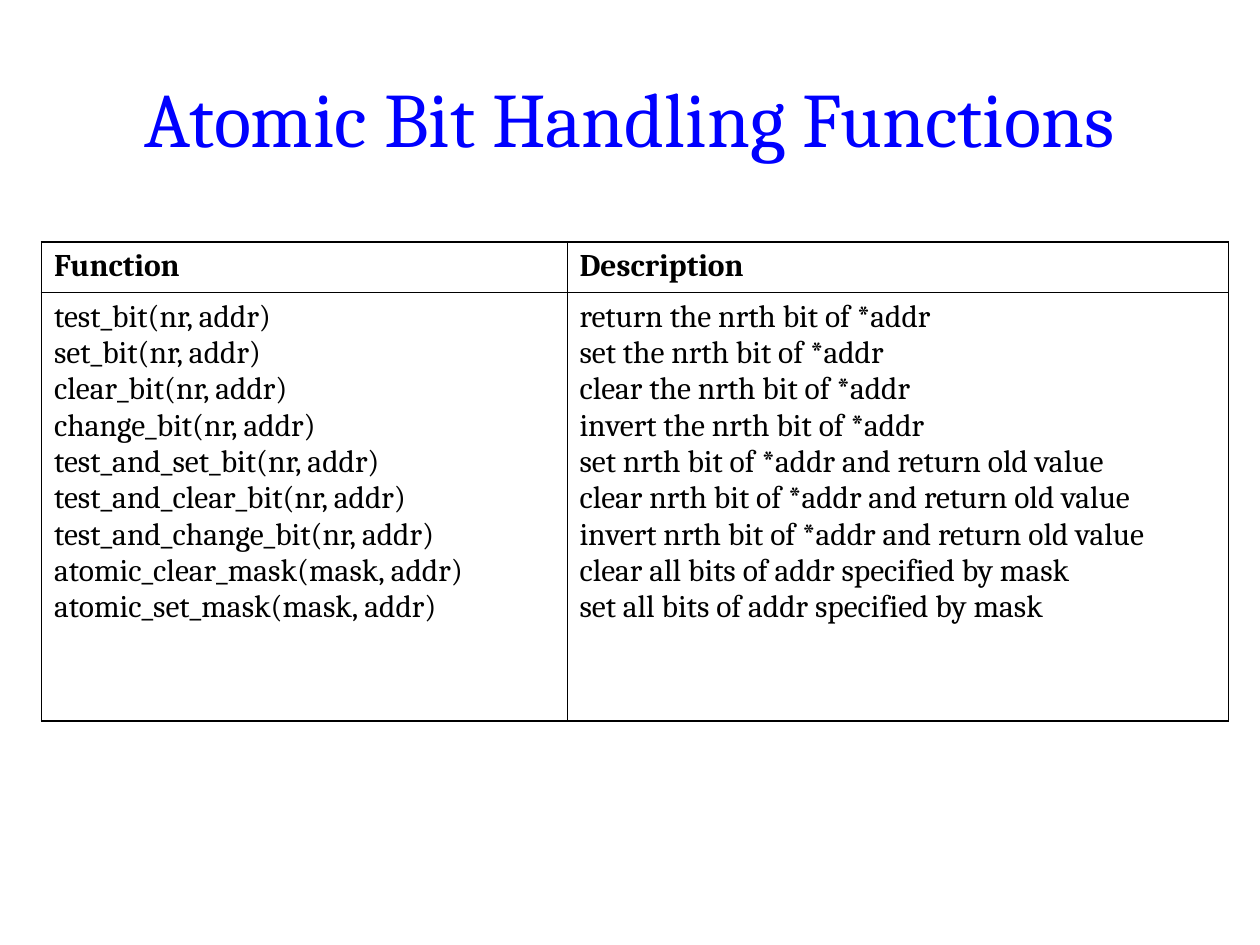
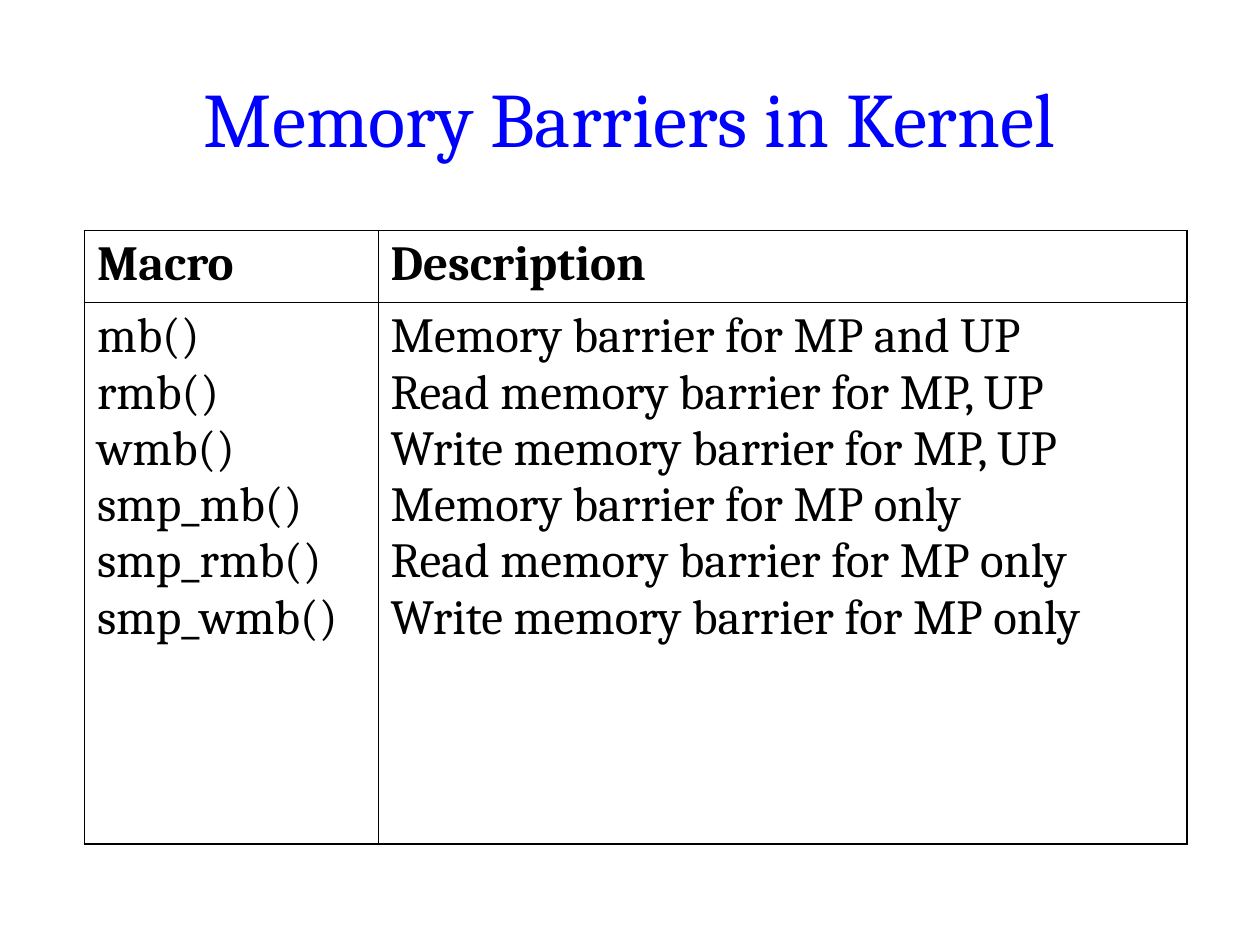
from lxml.etree import SubElement
from pptx import Presentation
from pptx.dml.color import RGBColor
from pptx.enum.text import MSO_ANCHOR, PP_ALIGN
from pptx.oxml.ns import qn
from pptx.util import Inches, Pt

COLORS = {"background": "FFFFFF", "title": "0000FF", "text": "000000", "border": "000000"}
FONT = "Cambria"
TITLE_BOX = (0.5, 0.3, 9, 1.25)
OUTER_LINE, INNER_LINE = 1.08, 0.45

BIT_FUNCTIONS = [
    ("test_bit(nr, addr)", "return the nrth bit of *addr"),
    ("set_bit(nr, addr)", "set the nrth bit of *addr"),
    ("clear_bit(nr, addr)", "clear the nrth bit of *addr"),
    ("change_bit(nr, addr)", "invert the nrth bit of *addr"),
    ("test_and_set_bit(nr, addr)", "set nrth bit of *addr and return old value"),
    ("test_and_clear_bit(nr, addr)", "clear nrth bit of *addr and return old value"),
    ("test_and_change_bit(nr, addr)", "invert nrth bit of *addr and return old value"),
    ("atomic_clear_mask(mask, addr)", "clear all bits of addr specified by mask"),
    ("atomic_set_mask(mask, addr)", "set all bits of addr specified by mask"),
]
BARRIER_MACROS = [
    ("mb()", "Memory barrier for MP and UP"),
    ("rmb()", "Read memory barrier for MP, UP"),
    ("wmb()", "Write memory barrier for MP, UP"),
    ("smp_mb()", "Memory barrier for MP only"),
    ("smp_rmb()", "Read memory barrier for MP only"),
    ("smp_wmb()", "Write memory barrier for MP only"),
]


def add_run(p, text, size, color, bold=False):
    r = p.add_run()
    r.text = text
    r.font.name = FONT
    r.font.size = Pt(size)
    r.font.bold = bold
    r.font.color.rgb = RGBColor.from_string(COLORS[color])


def add_title(slide, text, box):
    tf = slide.shapes.add_textbox(*map(Inches, box)).text_frame
    tf.word_wrap = True
    tf.vertical_anchor = MSO_ANCHOR.MIDDLE
    p = tf.paragraphs[0]
    p.alignment = PP_ALIGN.CENTER
    add_run(p, text, 44, "title")


def set_borders(cell, widths):
    tcPr = cell._tc.get_or_add_tcPr()
    for side, width in widths.items():
        ln = SubElement(tcPr, qn(f"a:ln{side}"), w=str(Pt(width)))
        fill = SubElement(ln, qn("a:solidFill"))
        SubElement(fill, qn("a:srgbClr"), val=COLORS["border"])
    cell.fill.background()


def fill_cell(cell, lines, size, bold):
    p = cell.text_frame.paragraphs[0]
    p.space_before = Pt(size / 4)
    for i, line in enumerate(lines):
        if i:
            p.add_line_break()
        add_run(p, line, size, "text", bold)


def add_reference_table(slide, left, top, col_widths, row_heights, size, headers, entries):
    box = map(Inches, (left, top, sum(col_widths), sum(row_heights)))
    table = slide.shapes.add_table(2, 2, *box).table
    table.first_row = table.horz_banding = False
    for col, width in zip(table.columns, col_widths):
        col.width = Inches(width)
    for row, height in zip(table.rows, row_heights):
        row.height = Inches(height)
    for c, (header, lines) in enumerate(zip(headers, zip(*entries))):
        for r, content in enumerate(([header], lines)):
            cell = table.cell(r, c)
            fill_cell(cell, content, size, bold=r == 0)
            set_borders(cell, {
                "L": INNER_LINE if c else OUTER_LINE,
                "R": OUTER_LINE if c else INNER_LINE,
                "T": INNER_LINE if r else OUTER_LINE,
                "B": OUTER_LINE if r else INNER_LINE,
            })


def add_table_slide(prs, title, **table):
    slide = prs.slides.add_slide(prs.slide_layouts[6])
    fill = slide.background.fill
    fill.solid()
    fill.fore_color.rgb = RGBColor.from_string(COLORS["background"])
    add_title(slide, title, TITLE_BOX)
    add_reference_table(slide, **table)


def main():
    prs = Presentation()
    prs.slide_width, prs.slide_height = Inches(10), Inches(7.5)
    add_table_slide(
        prs, "Atomic Bit Handling Functions", left=0.33, top=1.92,
        col_widths=(4.17, 5.25), row_heights=(0.4, 3.4), size=18,
        headers=("Function", "Description"), entries=BIT_FUNCTIONS)
    add_table_slide(
        prs, "Memory Barriers in Kernel", left=0.67, top=1.83,
        col_widths=(2.33, 6.42), row_heights=(0.57, 4.3), size=28,
        headers=("Macro", "Description"), entries=BARRIER_MACROS)
    prs.save("out.pptx")


if __name__ == "__main__":
    main()
